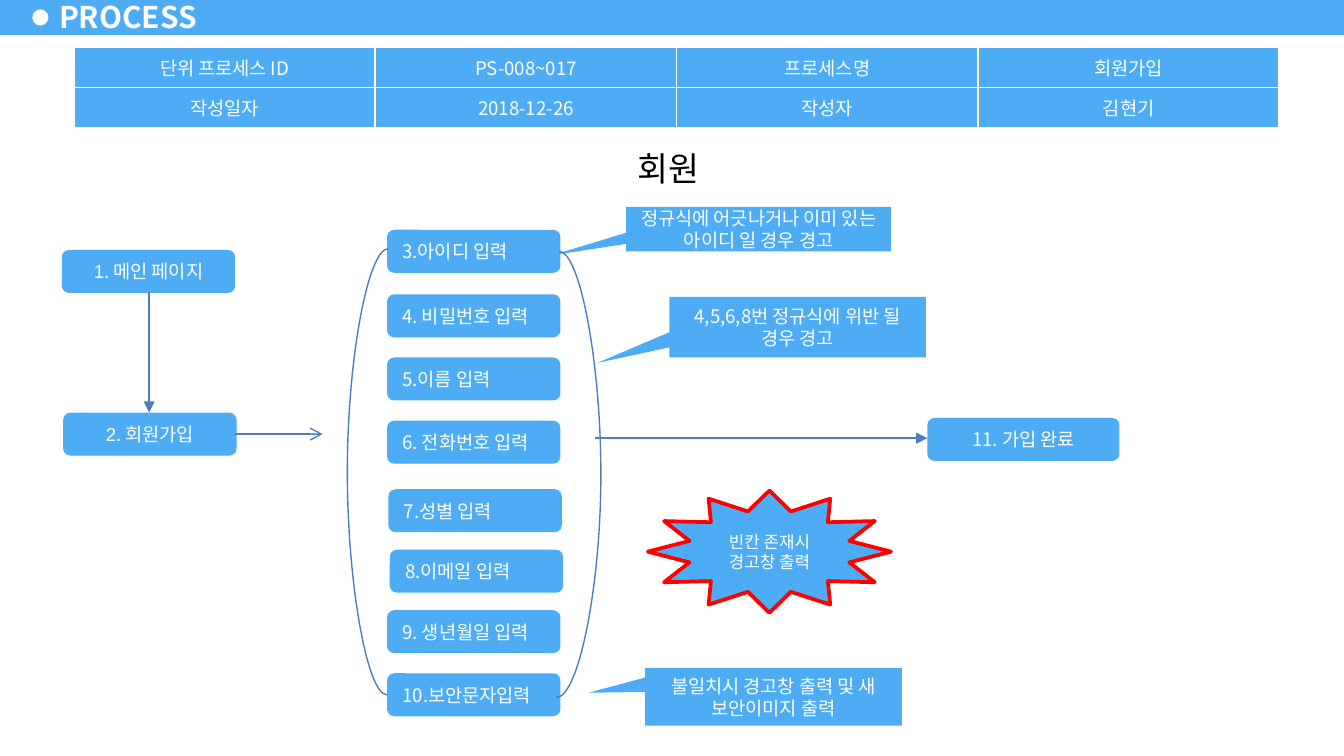
from lxml import etree
from pptx import Presentation
from pptx.dml.color import RGBColor
from pptx.enum.shapes import MSO_CONNECTOR, MSO_SHAPE
from pptx.enum.text import MSO_ANCHOR, MSO_AUTO_SIZE, PP_ALIGN
from pptx.oxml.ns import qn
from pptx.util import Inches, Pt

BLUE = RGBColor(0x4D, 0xAC, 0xF3)
LINE = RGBColor(0x4B, 0x7E, 0xBC)
WHITE = RGBColor(255, 255, 255)
BLACK = RGBColor(0, 0, 0)
RED = RGBColor(255, 0, 0)
FONT = "Noto Sans CJK KR"
RECT, OVAL = MSO_SHAPE.RECTANGLE, MSO_SHAPE.OVAL
ROUND, STAR = MSO_SHAPE.ROUNDED_RECTANGLE, MSO_SHAPE.STAR_12_POINT
CALL = MSO_SHAPE.RECTANGULAR_CALLOUT
STRAIGHT, CURVE = MSO_CONNECTOR.STRAIGHT, MSO_CONNECTOR.CURVE
LEFT, CENTER, JUST = PP_ALIGN.LEFT, PP_ALIGN.CENTER, PP_ALIGN.JUSTIFY
MIDDLE, TOP = MSO_ANCHOR.MIDDLE, MSO_ANCHOR.TOP
NO_FIT = MSO_AUTO_SIZE.NONE

CELLS = [
    ["단위 프로세스 ID", "PS-008~017", "프로세스명", "회원가입"],
    ["작성일자", "2018-12-26", "작성자", "김현기"],
]
PAGES = [(0.46, 1.86, "1", ". 메인 페이지"), (0.47, 3.07, "2", ". 회원가입")]
FIELDS = [
    (2.88, 1.71, "3.아이디 입력"),
    (2.88, 2.19, "4. 비밀번호 입력"),
    (2.88, 2.66, "5.이름 입력"),
    (2.88, 3.13, "6. 전화번호 입력"),
    (2.89, 3.64, "7.성별 입력"),
    (2.9, 4.09, "8.이메일 입력"),
    (2.88, 4.54, "9. 생년월일 입력"),
    (2.88, 5.01, "10.보안문자입력"),
]
NOTES = [
    ((4.66, 1.54, 1.97, 0.33), (-0.78, 0.59),
     "정규식에 어긋나거나 이미 있는 아이디 일 경우 경고"),
    ((4.8, 4.97, 1.91, 0.43), (-0.72, -0.07),
     "불일치시 경고창 출력 및 새 보안이미지 출력"),
    ((4.98, 2.21, 1.91, 0.45), (-0.78, 0.59),
     "4,5,6,8번 정규식에 위반 될 경우 경고"),
]
ARROWS = [
    (1.11, 2.17, 1.11, 3.07, "triangle"),
    (4.43, 3.26, 6.9, 3.26, "triangle"),
    (1.75, 3.23, 2.4, 3.23, "arrow"),
]
CURVES = [(2.89, 1.85, 2.88, 5.17, 2.58), (4.16, 1.87, 4.14, 5.19, 4.47)]


def inches(*nums):
    """Turn numbers into lengths."""
    return [Inches(n) for n in nums]


def write(frame, parts, size=10, color=WHITE, align=CENTER, bold=False):
    """Fill a text frame with one paragraph of runs."""
    para = frame.paragraphs[0]
    para.alignment = align
    font = para.font
    font.size, font.bold, font.name = Pt(size), bold, FONT
    font.color.rgb = color
    base = para._p.pPr.find(qn("a:defRPr"))
    base.find(qn("a:latin")).addnext(
        base.makeelement(qn("a:ea"), {"typeface": FONT}))
    for part in parts:
        para.add_run().text = part


def add_box(slide, kind, box, fill=BLUE, parts=(), anchor=MIDDLE, **style):
    """Add a flat shape, with text if given."""
    shape = slide.shapes.add_shape(kind, *inches(*box))
    shape.shadow.inherit = False
    shape.fill.solid()
    shape.fill.fore_color.rgb = fill
    shape.line.fill.background()
    if parts:
        frame = shape.text_frame
        frame.word_wrap = True
        frame.vertical_anchor = anchor
        write(frame, parts, **style)
    return shape


def add_line(slide, kind, ends):
    """Add a thin connector without shadow."""
    line = slide.shapes.add_connector(kind, *inches(*ends))
    line.line.color.rgb = LINE
    line.line.width = Pt(0.75)
    etree.SubElement(line._element.spPr, qn("a:effectLst"))
    return line


def add_arrow(slide, x1, y1, x2, y2, head):
    """Add a straight arrow."""
    line = add_line(slide, STRAIGHT, (x1, y1, x2, y2))
    stroke = line._element.spPr.find(qn("a:ln"))
    etree.SubElement(stroke, qn("a:tailEnd"), type=head)


def add_curve(slide, x1, y1, x2, y2, mid):
    """Add a curve that bows out to mid."""
    line = add_line(slide, CURVE, (x1, y1, x2, y2))
    geom = line._element.spPr.find(qn("a:prstGeom"))
    guides = geom.find(qn("a:avLst"))
    if guides is None:
        guides = etree.SubElement(geom, qn("a:avLst"))
    bend = round((mid - x1) / (x2 - x1) * 100000)
    etree.SubElement(guides, qn("a:gd"), name="adj1", fmla=f"val {bend}")


def add_head(slide):
    """Add the bar, its dot and the title."""
    add_box(slide, RECT, (0, -0.02, 10, 0.28))
    add_box(slide, OVAL, (0.24, 0.07, 0.12, 0.12), WHITE)
    title = slide.shapes.title
    title.left, title.top, title.width, title.height = inches(
        0.35, -0.04, 1.22, 0.32)
    frame = title.text_frame
    frame.auto_size = NO_FIT
    frame.word_wrap = False
    frame.vertical_anchor = MIDDLE
    frame.margin_left = frame.margin_right = Inches(0.09)
    frame.margin_top = frame.margin_bottom = Inches(0.04)
    write(frame, ["PROCESS"], size=16, align=LEFT, bold=True)
    slide.shapes._spTree.append(title._element)


def add_grid(slide):
    """Add the table of process facts."""
    box = inches(0.55, 0.35, 8.97, 0.56)
    table = slide.shapes.add_table(len(CELLS), len(CELLS[0]), *box).table
    table.first_row = table.horz_banding = False
    for row, words in zip(table.rows, CELLS):
        for cell, word in zip(row.cells, words):
            cell.fill.solid()
            cell.fill.fore_color.rgb = BLUE
            cell.vertical_anchor = MIDDLE
            write(cell.text_frame, [word])


def main():
    """Build the slide and save it."""
    deck = Presentation()
    deck.slide_width, deck.slide_height = inches(10, 10 * 9 / 16)
    slide = deck.slides.add_slide(deck.slide_layouts[5])
    add_head(slide)
    add_grid(slide)
    for x, y, num, word in PAGES:
        box = add_box(slide, ROUND, (x, y, 1.29, 0.32), parts=[num, word])
        box.text_frame.paragraphs[0].runs[0].font.name = "Arial"
    add_box(slide, ROUND, (6.9, 3.11, 1.43, 0.32), parts=["11. 가입 완료"])
    for x, y, word in FIELDS:
        add_box(slide, ROUND, (x, y, 1.29, 0.32), parts=[word], align=JUST)
    for place, tip, word in NOTES:
        note = add_box(slide, CALL, place, parts=[word])
        note.adjustments[0], note.adjustments[1] = tip
    add_box(slide, RECT, (3.94, 1.05, 2.07, 0.41), WHITE, ["회원"], TOP,
            size=18, color=BLACK)
    star = add_box(slide, STAR, (4.82, 3.65, 1.81, 0.91),
                   parts=["빈칸 존재시 경고창 출력"], size=9)
    star.adjustments[0] = 0.34
    star.line.color.rgb = RED
    star.line.width = Pt(2)
    for arrow in ARROWS:
        add_arrow(slide, *arrow)
    for curve in CURVES:
        add_curve(slide, *curve)
    deck.save("out.pptx")


main()
